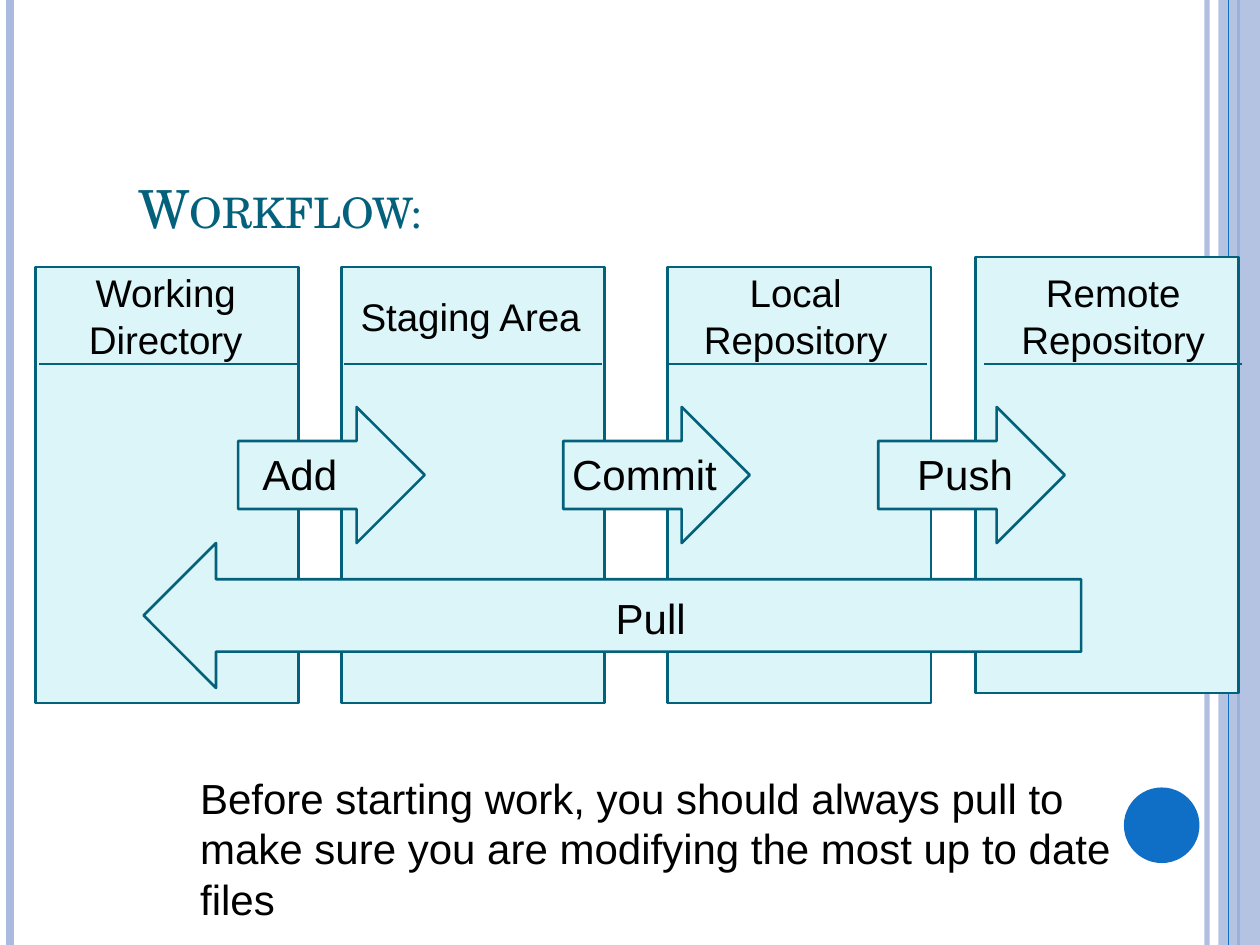
import pptx
import pptx.util
import pptx.dml.color
import pptx.enum.shapes
import pptx.enum.text
import pptx.oxml.ns
from dataclasses import dataclass
from lxml import etree

Inches = pptx.util.Inches
Pt = pptx.util.Pt
Shape = pptx.enum.shapes.MSO_SHAPE
Anchor = pptx.enum.text.MSO_ANCHOR
Align = pptx.enum.text.PP_ALIGN
qn = pptx.oxml.ns.qn


@dataclass(frozen=True)
class Theme:
    teal: str = "04617B"
    pale: str = "DBF5F9"
    blue: str = "0F6FC6"
    mist: str = "ABBBDF"
    ink: str = "000000"
    serif: str = "TeX Gyre Schola"
    sans: str = "Arial"
    title: int = 30
    head: int = 22
    body: int = 24
    edge: float = 1.5


THEME = Theme()


def rgb(code):
    return pptx.dml.color.RGBColor.from_string(code)


def fade(fill, percent):
    """Set the opacity of a solid fill or line."""
    color = fill._xPr.find(qn("a:solidFill"))[0]
    etree.SubElement(color, qn("a:alpha")).set("val", str(percent * 1000))


def add_box(slide, kind, box, fill, edge=None):
    shape = slide.shapes.add_shape(kind, *map(Inches, box))
    shape.shadow.inherit = False
    shape.fill.solid()
    shape.fill.fore_color.rgb = rgb(fill)
    if edge:
        shape.line.color.rgb = rgb(edge)
        shape.line.width = Pt(THEME.edge)
    else:
        shape.line.fill.background()
    return shape


def add_line(slide, start, end, color, width):
    line = slide.shapes.add_connector(
        pptx.enum.shapes.MSO_CONNECTOR.STRAIGHT, *map(Inches, start + end))
    line.line.color.rgb = rgb(color)
    line.line.width = Pt(width)
    etree.SubElement(line._element.spPr, qn("a:effectLst"))
    return line


def add_text(slide, box, text, size, anchor=Anchor.MIDDLE, align=Align.CENTER,
             font=THEME.sans, color=THEME.ink):
    frame = slide.shapes.add_textbox(*map(Inches, box)).text_frame
    frame.word_wrap = True
    frame.vertical_anchor = anchor
    frame.margin_left = frame.margin_right = Inches(0.1)
    frame.margin_top = frame.margin_bottom = Inches(0.1)
    para = frame.paragraphs[0]
    para.alignment = align
    run = para.add_run()
    run.text = text
    run.font.name = font
    run.font.size = Pt(size)
    run.font.color.rgb = rgb(color)
    return run


def add_rail(slide, x, color, width):
    """Draw a vertical line over the full height of the slide."""
    return add_line(slide, (x, 0), (x, 7.5), color, width)


def add_frame(slide):
    """Draw the side rails, the right band and the dot."""
    rail = add_rail(slide, 9.58, THEME.mist, 3)
    fade(rail.line.fill, 93)
    add_rail(slide, 0.08, THEME.mist, 4.5)
    add_rail(slide, 9.83, THEME.blue, 1.5)
    band = add_box(slide, Shape.RECTANGLE, (9.67, 0, 0.33, 7.5), THEME.mist)
    fade(band.fill, 87)
    add_rail(slide, 9.75, THEME.blue, 0.75)
    add_box(slide, Shape.OVAL, (8.92, 6.25, 0.6, 0.6), THEME.blue)


def add_stages(slide):
    # name, box left, box top, rule left, label left
    stages = [
        ("Working Directory", 0.28, 2.12, 0.31, 0.26),
        ("Staging Area", 2.71, 2.12, 2.73, 2.68),
        ("Local Repository", 5.3, 2.12, 5.31, 5.26),
        ("Remote Repository", 7.74, 2.04, 7.81, 7.78),
    ]
    for name, left, top, rule, label in stages:
        add_box(slide, Shape.RECTANGLE, (left, top, 2.09, 3.46),
                THEME.pale, THEME.teal)
        add_line(slide, (rule, 2.89), (rule + 2.05, 2.89),
                 THEME.teal, THEME.edge)
        add_text(slide, (label, 2.12, 2.11, 0.77), name, THEME.head)


def add_steps(slide):
    # name, arrow left, label left, label width
    steps = [
        ("Add", 1.89, 1.9, 0.96),
        ("Commit", 4.47, 4.4, 1.43),
        ("Push", 6.97, 6.98, 1.36),
    ]
    for name, left, label, width in steps:
        add_box(slide, Shape.RIGHT_ARROW, (left, 3.23, 1.48, 1.08),
                THEME.pale, THEME.teal)
        add_text(slide, (label, 3.52, width, 0.48), name, THEME.body)
    add_box(slide, Shape.LEFT_ARROW, (1.14, 4.31, 7.44, 1.15),
            THEME.pale, THEME.teal)
    add_text(slide, (1.75, 4.6, 6.83, 0.55), "Pull", THEME.body, Anchor.TOP)


def main():
    deck = pptx.Presentation()
    deck.slide_width, deck.slide_height = Inches(10), Inches(7.5)
    slide = deck.slides.add_slide(deck.slide_layouts[6])
    add_frame(slide)
    title = add_text(slide, (1, 0.55, 9, 1.45), "Workflow:", THEME.title,
                     Anchor.BOTTOM, Align.LEFT, THEME.serif, THEME.teal)
    title.font._element.set("cap", "small")
    add_stages(slide)
    add_steps(slide)
    add_text(slide, (1.49, 6.03, 7.5, 1.38),
             "Before starting work, you should always pull to make sure "
             "you are modifying the most up to date files",
             THEME.body, Anchor.TOP, Align.LEFT)
    deck.save("out.pptx")


if __name__ == "__main__":
    main()
